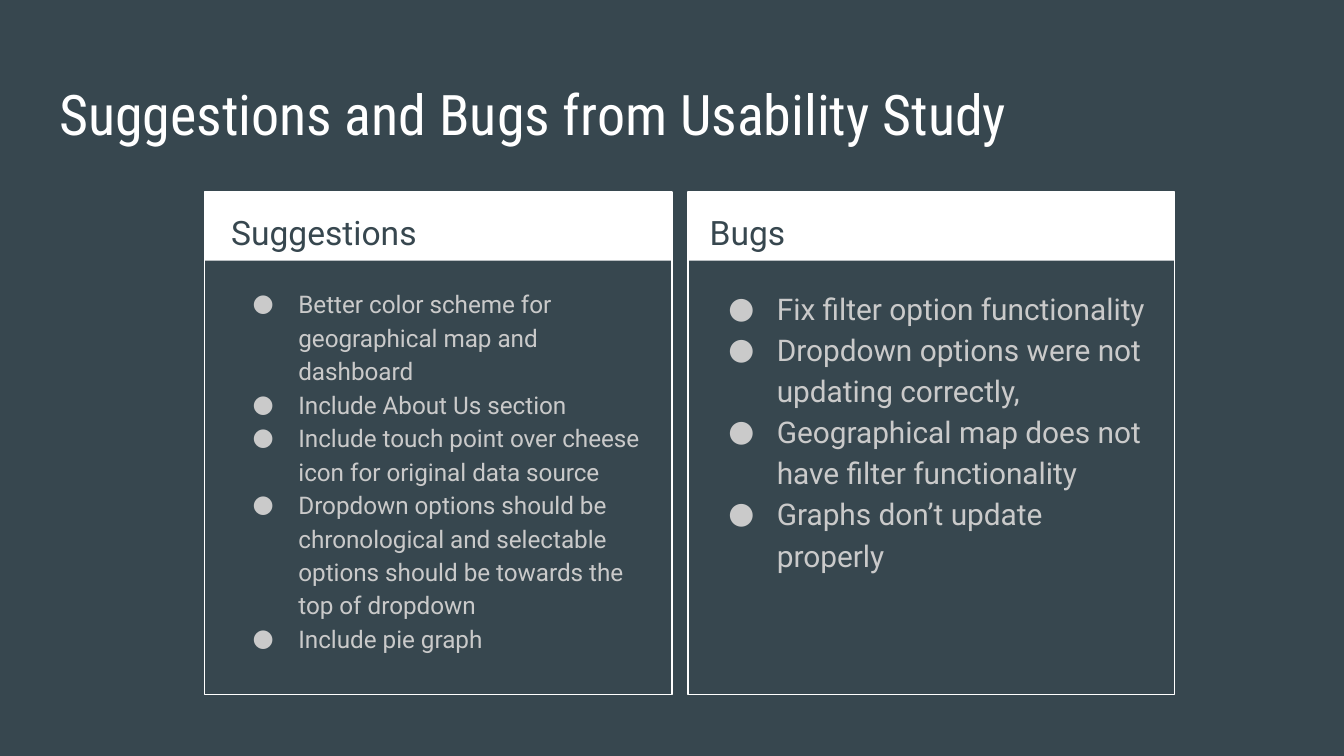
from lxml import etree
from pptx import Presentation
from pptx.dml.color import RGBColor
from pptx.enum.shapes import MSO_SHAPE
from pptx.enum.text import MSO_ANCHOR, MSO_AUTO_SIZE, PP_ALIGN
from pptx.oxml.ns import qn
from pptx.util import Inches, Pt

RECTANGLE = MSO_SHAPE.RECTANGLE
TOP = MSO_ANCHOR.TOP
FIXED = MSO_AUTO_SIZE.NONE
LEFT = PP_ALIGN.LEFT
COMPARISON_LAYOUT = 4
COLUMNS, ROWS = 100, 56.25
CELL = Inches(0.1)
SLATE, WHITE, GREY = "37474F", "FFFFFF", "CACACA"

TITLE = "Suggestions and Bugs from Usability Study"
TITLE_BOX = (3.4, 4.9, 93.2, 6.3)
PANELS = [
    {
        "box": (15.2, 14.3, 34.8, 37.4),
        "margin": 1,
        "heading": "Suggestions",
        "size": 13,
        "hanging": 0.34,
        "items": [
            "Better color scheme for geographical map and dashboard",
            "Include About Us section",
            "Include touch point over cheese icon for original data source",
            "Dropdown options should be chronological and selectable "
            "options should be towards the top of dropdown",
            "Include pie graph",
        ],
    },
    {
        "box": (51.2, 14.3, 36.2, 37.4),
        "margin": 0.6,
        "heading": "Bugs",
        "size": 16,
        "hanging": 0.36,
        "items": [
            "Fix filter option functionality",
            "Dropdown options were not updating correctly,",
            "Geographical map does not have filter functionality",
            "Graphs don’t update properly",
        ],
    },
]


def color(value):
    """Turn a hex string into a colour."""
    return RGBColor.from_string(value)


def apply(target, values):
    """Set each named attribute on the target."""
    for name, value in values.items():
        setattr(target, name, value)


def place(shape, box):
    """Put a shape on a box given in grid cells."""
    names = ("left", "top", "width", "height")
    apply(shape, {name: round(cells * CELL) for name, cells in zip(names, box)})


def add_bullet(para, hanging):
    """Give a paragraph a round bullet with a hanging indent."""
    properties = para._p.get_or_add_pPr()
    properties.set("marL", str(Inches(0.5)))
    properties.set("indent", str(-Inches(hanging)))
    bullet_color = etree.SubElement(properties, qn("a:buClr"))
    etree.SubElement(bullet_color, qn("a:srgbClr"), val=GREY)
    etree.SubElement(properties, qn("a:buFont"), typeface="Roboto")
    etree.SubElement(properties, qn("a:buChar"), char="●")


def write(holder, box, lines, size, fill, font="Roboto", spacing=1.15, hanging=None):
    """Fill a placeholder with formatted paragraphs."""
    place(holder, box)
    frame = holder.text_frame
    frame.text = "\n".join(lines)
    margins = ("margin_left", "margin_top", "margin_right", "margin_bottom")
    apply(frame, dict.fromkeys(margins, CELL))
    apply(frame, {"word_wrap": True, "auto_size": FIXED, "vertical_anchor": TOP})
    for para in frame.paragraphs:
        if hanging:
            add_bullet(para, hanging)
        apply(para, {"alignment": LEFT, "line_spacing": spacing,
                     "space_before": Pt(0), "space_after": Pt(0)})
        for span in para.runs:
            apply(span.font, {"name": font, "size": Pt(size), "bold": False})
            span.font.color.rgb = color(fill)


def add_rectangle(page, box, filled):
    """Add a white band or a white outline behind the text."""
    shape = page.shapes.add_shape(RECTANGLE, 0, 0, CELL, CELL)
    place(shape, box)
    shape.shadow.inherit = False
    if filled:
        shape.fill.solid()
        shape.fill.fore_color.rgb = color(WHITE)
        shape.line.fill.background()
    else:
        shape.fill.background()
        shape.line.color.rgb = color(WHITE)
        shape.line.width = Pt(0.75)
    page.shapes.title.element.addprevious(shape.element)


def build_panel(page, panel, heading, body):
    """Place a framed list under a white heading band."""
    left, top, width, height = panel["box"]
    margin = panel["margin"]
    text_left, text_width = left + margin, width - 2 * margin
    add_rectangle(page, (left, top, width, 5.1), True)
    add_rectangle(page, panel["box"], False)
    write(heading, (text_left, top, text_width, 5), [panel["heading"]], 18, SLATE)
    write(body, (text_left, top + 5.9, text_width, height - 6.8), panel["items"],
          panel["size"], GREY, hanging=panel["hanging"])


def build_slide(deck):
    """Build the title and the two panels."""
    page = deck.slides.add_slide(deck.slide_layouts[COMPARISON_LAYOUT])
    page.background.fill.solid()
    page.background.fill.fore_color.rgb = color(SLATE)
    title, *holders = page.placeholders
    write(title, TITLE_BOX, [TITLE], 30, WHITE, "Roboto Condensed", 1.0)
    for panel, heading, body in zip(PANELS, holders[::2], holders[1::2]):
        build_panel(page, panel, heading, body)


def main():
    """Create and save the deck."""
    deck = Presentation()
    apply(deck, {"slide_width": round(COLUMNS * CELL), "slide_height": round(ROWS * CELL)})
    build_slide(deck)
    deck.save("out.pptx")


if __name__ == "__main__":
    main()
